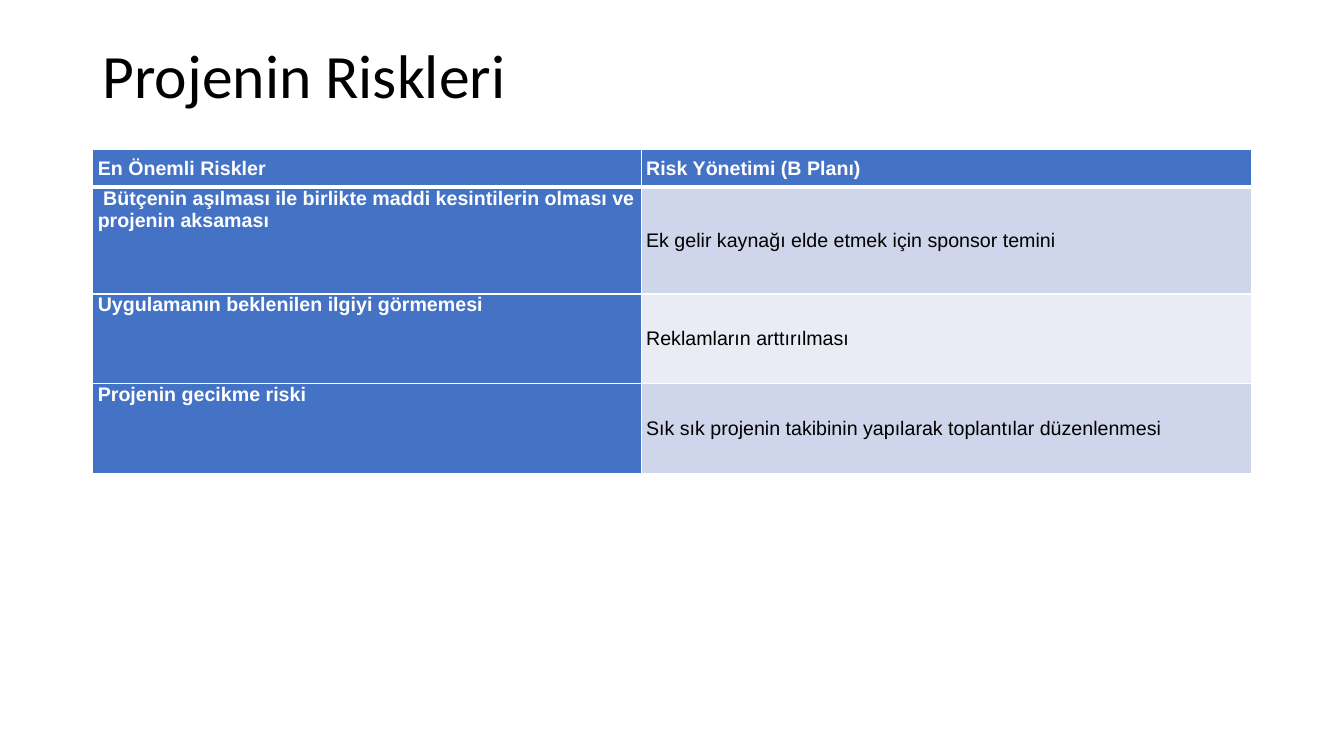
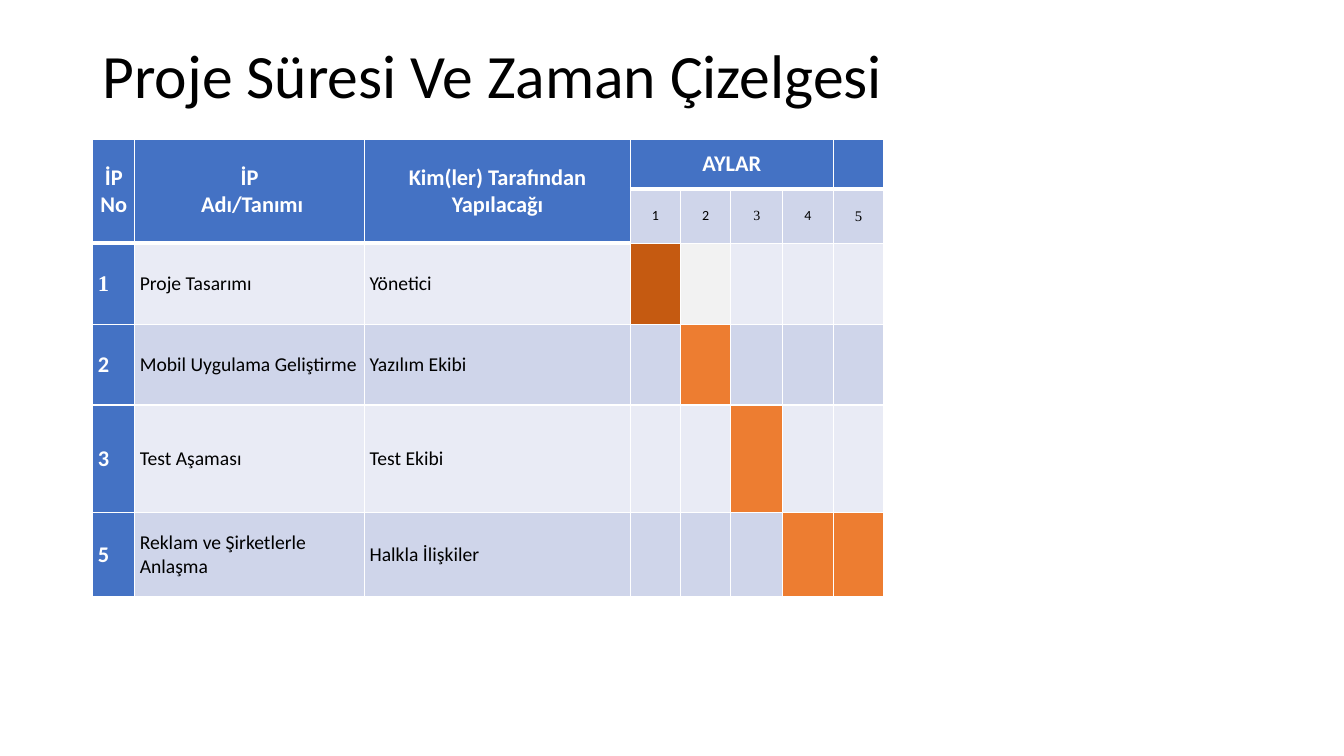
from dataclasses import dataclass, replace

from lxml import etree
from pptx import Presentation
from pptx import util as u
from pptx.dml.color import RGBColor
from pptx.enum import text as t
from pptx.oxml import ns

# Shared colours, fonts and edges
WHITE = RGBColor(0xFF, 0xFF, 0xFF)
BLACK = RGBColor(0x00, 0x00, 0x00)
BLUE = RGBColor(0x44, 0x72, 0xC4)
DARK = RGBColor(0xCF, 0xD5, 0xEA)
PALE = RGBColor(0xE9, 0xEB, 0xF5)
GREY = RGBColor(0xF2, 0xF2, 0xF2)
RUST = RGBColor(0xC5, 0x5A, 0x11)
ORANGE = RGBColor(0xED, 0x7D, 0x31)
SANS, PLAIN, SERIF = "Arial", "Calibri", "Times New Roman"
LEFT, WIDE = 66.24, 828
THIN, THICK = 1, 3
MID, TOP = t.MSO_ANCHOR.MIDDLE, t.MSO_ANCHOR.TOP
CENTER = t.PP_ALIGN.CENTER


@dataclass(frozen=True)
class Cell:
    text: str = ""
    fill: RGBColor = BLUE
    size: float = 14
    font: str = PLAIN
    color: RGBColor = BLACK
    bold: bool = False
    align: t.PP_ALIGN = t.PP_ALIGN.LEFT
    anchor: t.MSO_ANCHOR = MID


@dataclass(frozen=True)
class Grid:
    top: float
    cols: list[float]
    rows: list[float]
    ends: list[int]  # last heading row of each column
    cells: list[list[Cell]]
    spans: tuple = ()  # pairs of corners to merge


def put(frame, text: str, *, size: float, font: str = PLAIN,
        color: RGBColor = BLACK, bold: bool = False,
        align: t.PP_ALIGN = t.PP_ALIGN.LEFT, lead: float = 1.0) -> None:
    """Write text, one paragraph a line."""
    for i, line in enumerate(text.split("\n")):
        para = frame.paragraphs[0] if i == 0 else frame.add_paragraph()
        para.alignment = align
        para.line_spacing = lead
        run = para.add_run()
        run.text = line
        run.font.size = u.Pt(size)
        run.font.name = font
        run.font.bold = bold
        run.font.color.rgb = color


def edge(cell, top: float, base: float) -> None:
    """Draw white lines on the four sides of a cell."""
    props = cell._tc.get_or_add_tcPr()
    for side, width in zip("LRTB", (THIN, THIN, top, base)):
        line = etree.SubElement(props, ns.qn(f"a:ln{side}"), w=str(u.Pt(width)))
        fill = etree.SubElement(line, ns.qn("a:solidFill"))
        etree.SubElement(fill, ns.qn("a:srgbClr"), val=str(WHITE))


def draw(slide, grid: Grid) -> None:
    """Add a table with fixed rows and columns."""
    table = slide.shapes.add_table(
        len(grid.rows), len(grid.cols), u.Pt(LEFT), u.Pt(grid.top),
        u.Pt(sum(grid.cols)), u.Pt(sum(grid.rows))).table
    table.first_row = table.horz_banding = False
    for col, width in zip(table.columns, grid.cols):
        col.width = u.Pt(width)
    for row, height in zip(table.rows, grid.rows):
        row.height = u.Pt(height)
    for r, line in enumerate(grid.cells):
        for c, item in enumerate(line):
            cell = table.cell(r, c)
            end = grid.ends[c]
            edge(cell, THICK if r == end + 1 else THIN,
                 THICK if r == end else THIN)
            cell.fill.solid()
            cell.fill.fore_color.rgb = item.fill
            cell.vertical_anchor = item.anchor
            cell.margin_left = cell.margin_right = u.Pt(3.6)
            cell.margin_top = cell.margin_bottom = u.Pt(0)
            if item.text:
                put(cell.text_frame, item.text, size=item.size, font=item.font,
                    color=item.color, bold=item.bold, align=item.align)
    for start, stop in grid.spans:
        table.cell(*start).merge(table.cell(*stop))


def page(deck, title: str, grid: Grid) -> None:
    """Add a slide with a title and a table."""
    slide = deck.slides.add_slide(deck.slide_layouts[6])
    box = slide.shapes.add_textbox(u.Pt(LEFT), u.Pt(28.8), u.Pt(WIDE), u.Pt(104.4))
    box.text_frame.word_wrap = True
    put(box.text_frame, title, size=44, lead=0.9)
    draw(slide, grid)


def risks() -> Grid:
    head = Cell(font=SANS, color=WHITE, bold=True)
    pairs = [
        (" Bütçenin aşılması ile birlikte maddi kesintilerin olması ve projenin aksaması",
         "Ek gelir kaynağı elde etmek için sponsor temini"),
        ("Uygulamanın beklenilen ilgiyi görmemesi", "Reklamların arttırılması"),
        ("Projenin gecikme riski ",
         "Sık sık projenin takibinin yapılarak toplantılar düzenlenmesi"),
    ]
    cells = [[replace(head, text=name)
              for name in ("En Önemli Riskler", "Risk Yönetimi (B Planı)")]]
    for i, (risk, plan) in enumerate(pairs):
        cells.append([replace(head, text=risk, anchor=TOP),
                      Cell(plan, PALE if i % 2 else DARK, font=SANS)])
    return Grid(106.56, [391.7, 436.3], [27.2, 76.3, 64.2, 64.2], [0, 0], cells)


def plan() -> Grid:
    head = Cell(size=16, color=WHITE, bold=True, align=CENTER)
    names = ["İP No", "İP\n Adı/Tanımı", "Kim(ler) Tarafından Yapılacağı",
             "AYLAR", "", "", "", ""]
    months = [("1", 10, PLAIN), ("2", 10, PLAIN), ("3", 10, SERIF),
              ("4", 10, PLAIN), ("5", 10.5, SERIF)]
    # Number, its font, task, team, and the filled months
    tasks = [
        ("1", SERIF, "Proje Tasarımı", "Yönetici", {1: RUST, 2: GREY}),
        ("2", PLAIN, "Mobil Uygulama Geliştirme", "Yazılım Ekibi", {2: ORANGE}),
        ("3", PLAIN, "Test Aşaması", "Test Ekibi", {3: ORANGE}),
        ("5", PLAIN, "Reklam ve Şirketlerle Anlaşma", "Halkla İlişkiler",
         {4: ORANGE, 5: ORANGE}),
    ]
    cells = [
        [replace(head, text=name) for name in names],
        [head] * 3 + [Cell(name, DARK, size, font, align=CENTER)
                      for name, size, font in months],
    ]
    for i, (mark, font, task, team, bars) in enumerate(tasks):
        band = DARK if i % 2 else PALE
        cells.append([Cell(mark, BLUE, 16, font, WHITE, True),
                      Cell(task, band), Cell(team, band)]
                     + [Cell(fill=bars.get(m, band)) for m in range(1, 6)])
    spans = tuple(((0, c), (1, c)) for c in range(3)) + (((0, 3), (0, 6)),)
    return Grid(99.36, [30, 164.2, 190, 35.6, 36, 37.2, 36, 36],
                [35.8, 38.6, 57.8, 57.8, 77, 60], [1] * 3 + [0] * 5, cells, spans)


def main() -> None:
    deck = Presentation()
    deck.slide_width, deck.slide_height = u.Pt(960), u.Pt(540)
    page(deck, "Projenin Riskleri", risks())
    page(deck, "Proje Süresi Ve Zaman Çizelgesi", plan())
    deck.save("out.pptx")


if __name__ == "__main__":
    main()
